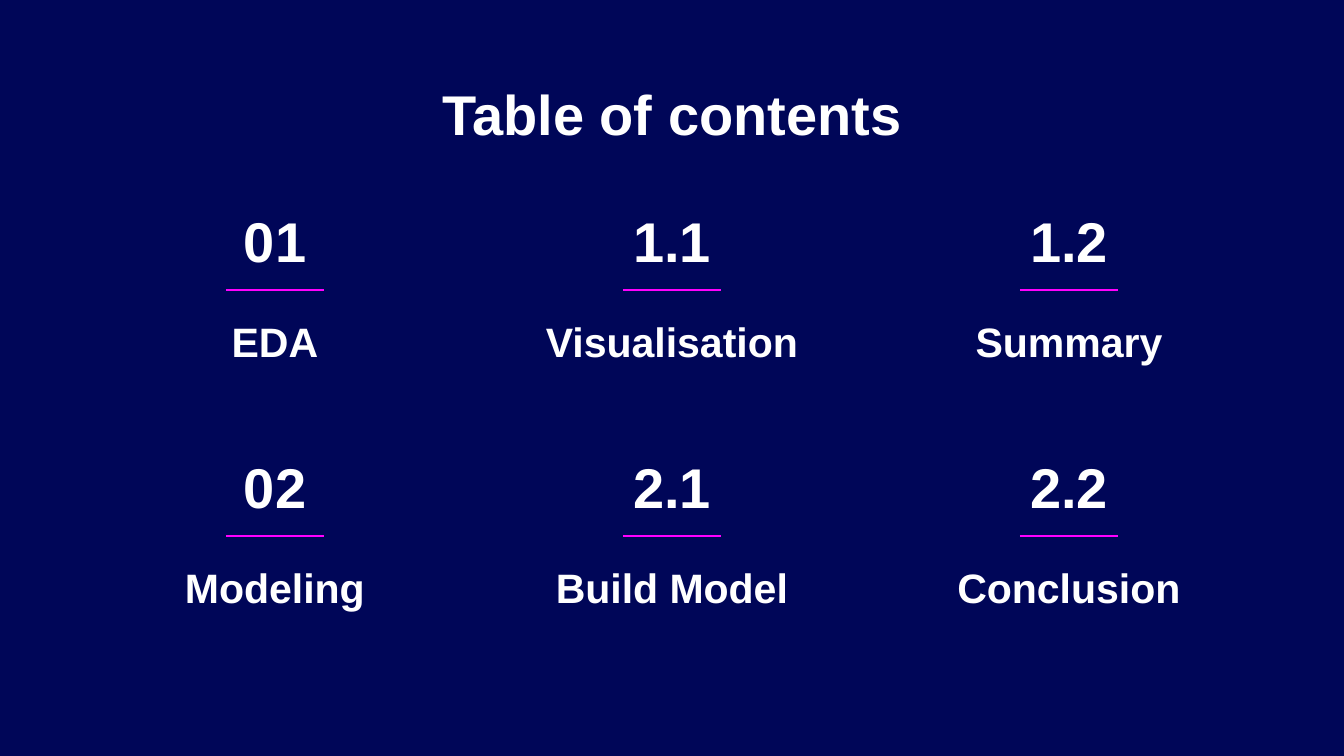
from lxml import etree
from pptx import Presentation
from pptx import util as u
from pptx.dml.color import RGBColor
from pptx.enum import shapes, text
from pptx.oxml.ns import qn

SCALE = 914400 / 134.4  # EMU in one px
NAVY, WHITE, MAGENTA = "000658", "FFFFFF", "FF00FF"

# Grid of contents entries
CENTER_X, COLUMN_STEP = 672, 397
ROW_TOP, ROW_STEP = 194, 246
SECTIONS = [
    [("01", "EDA"), ("1.1", "Visualisation"), ("1.2", "Summary")],
    [("02", "Modeling"), ("2.1", "Build Model"), ("2.2", "Conclusion")],
]


def px(length):
    return u.Emu(round(length * SCALE))


def color(value):
    return RGBColor.from_string(value)


def format_text(box, words, size, anchor):
    frame = box.text_frame
    frame_format = {
        "word_wrap": True, "auto_size": text.MSO_AUTO_SIZE.NONE,
        "vertical_anchor": anchor,
        "margin_left": u.Inches(0.1), "margin_right": u.Inches(0.1),
        "margin_top": u.Inches(0.1), "margin_bottom": u.Inches(0.1),
    }
    for name, value in frame_format.items():
        setattr(frame, name, value)
    para = frame.paragraphs[0]
    para_format = {"alignment": text.PP_ALIGN.CENTER, "line_spacing": 1.0,
                   "space_before": u.Pt(0)}
    for name, value in para_format.items():
        setattr(para, name, value)
    span = para.add_run()
    span.text = words
    for name, value in {"name": "Arial", "size": u.Pt(size), "bold": True}.items():
        setattr(span.font, name, value)
    span.font.color.rgb = color(WHITE)


def add_title(page, words):
    title = page.shapes.title
    place = {"left": 106, "top": 66, "width": 1132, "height": 85}
    for name, value in place.items():
        setattr(title, name, px(value))
    format_text(title, words, 30, text.MSO_ANCHOR.TOP)


def add_label(page, words, center, top, width, height, size):
    box = page.shapes.add_textbox(px(center - width / 2), px(top), px(width), px(height))
    format_text(box, words, size, text.MSO_ANCHOR.BOTTOM)


def add_rule(page, center, y, width):
    rule = page.shapes.add_connector(
        shapes.MSO_CONNECTOR.STRAIGHT,
        px(center - width / 2), px(y), px(center + width / 2), px(y))
    rule.line.color.rgb = color(MAGENTA)
    rule.line.width = u.Pt(1.5)
    etree.SubElement(rule._element.spPr, qn("a:effectLst"))


def add_entry(page, number, name, center, top):
    add_label(page, number, center, top, 108, 93, 30)
    add_rule(page, center, top + 96, 98)
    add_label(page, name, center, top + 114, 338, 71, 22)


def main():
    deck = Presentation()
    deck.slide_width, deck.slide_height = px(1344), px(756)
    page = deck.slides.add_slide(deck.slide_layouts[5])
    page.background.fill.solid()
    page.background.fill.fore_color.rgb = color(NAVY)

    add_title(page, "Table of contents")
    for row, entries in enumerate(SECTIONS):
        for column, (number, name) in enumerate(entries):
            center = CENTER_X + (column - 1) * COLUMN_STEP
            add_entry(page, number, name, center, ROW_TOP + row * ROW_STEP)

    deck.save("out.pptx")


if __name__ == "__main__":
    main()
